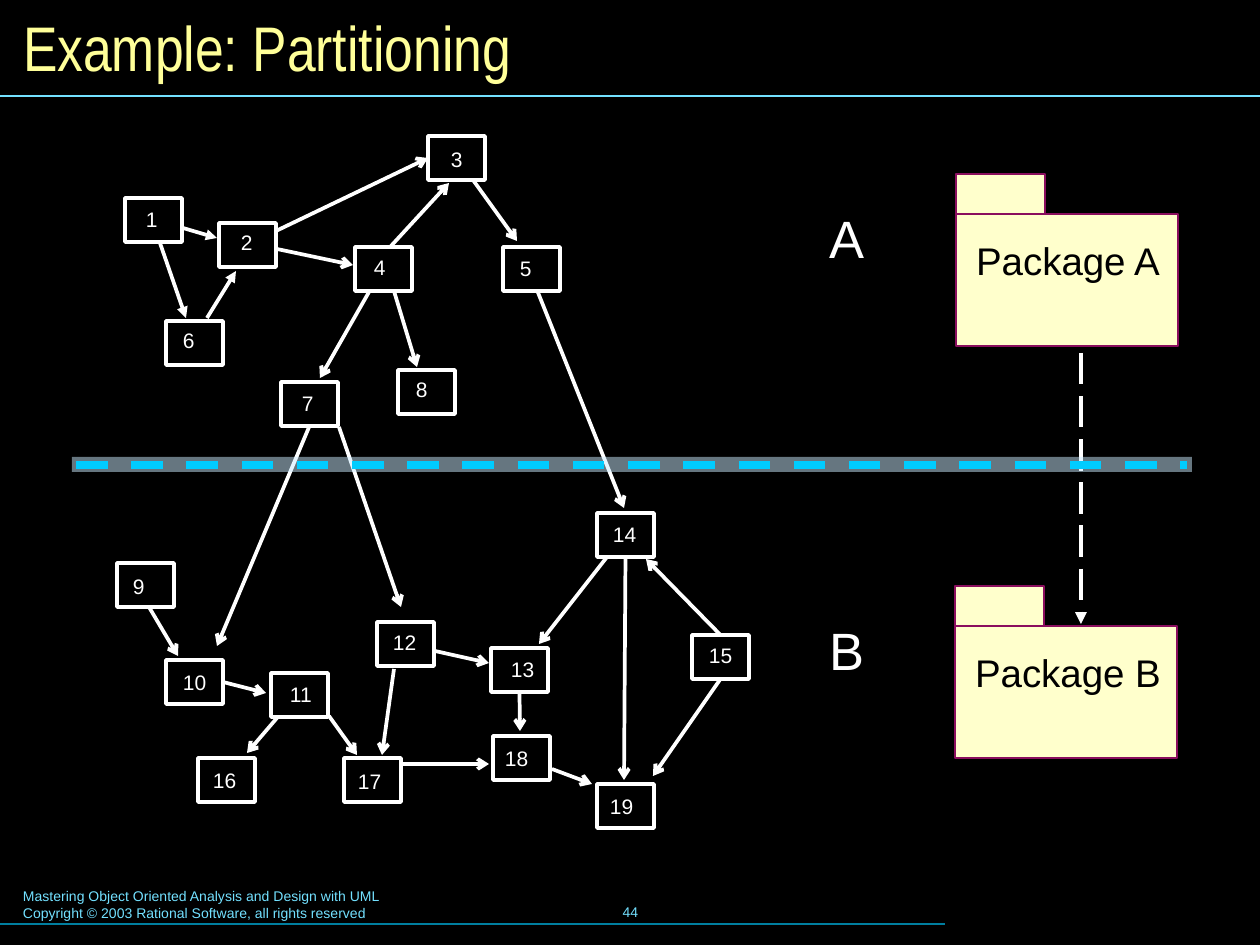
from lxml import etree
from pptx import Presentation
from pptx import util as u
from pptx.dml.color import RGBColor
from pptx.enum import dml, shapes, text
from pptx.oxml.ns import qn

SCALE = 914400 / 126
COLORS = {
    "background": "000000", "title": "FFFF99", "ink": "FFFFFF",
    "footer": "73E1FF", "footer_rule": "007E9F",
    "package": "FFFFCC", "package_edge": "8A0E5E", "package_text": "000000",
    "band": "CCECFF", "divider": "00CCFF",
}

TITLE = "Example: Partitioning"
FOOTER = ["Mastering Object Oriented Analysis and Design with UML",
          "Copyright © 2003 Rational Software, all rights reserved"]
PAGE = "44"

NODE_W, NODE_H = 57, 44
# number: left, top, label offset x, label offset y
NODES = {
    1: (125, 198, 6, 1), 2: (219, 223, 7, -1), 3: (428, 136, 8, 3),
    4: (355, 247, 4, 0), 5: (503, 247, 2, 1), 6: (166, 321, 2, -1),
    7: (281, 382, 6, 1), 8: (398, 370, 3, -1), 9: (117, 563, 1, 3),
    10: (166, 660, 2, 2), 11: (271, 673, 4, 1), 12: (377, 622, 1, 0),
    13: (491, 648, 5, 1), 14: (597, 513, 1, 1), 15: (692, 635, 2, 0),
    16: (198, 758, 0, 2), 17: (344, 758, -1, 3), 18: (493, 736, -3, 2),
    19: (597, 784, -2, 2),
}
SOLID_HEADS = {(1, 2), (1, 6), (6, 2)}
ARROWS = {
    (1, 6): (160, 243, 186, 318), (1, 2): (183, 228, 217, 238),
    (6, 2): (207, 318, 236, 271), (2, 3): (276, 231, 425, 161),
    (4, 3): (391, 246, 449, 183), (2, 4): (277, 249, 353, 265),
    (4, 8): (394, 291, 417, 367), (4, 7): (369, 292, 320, 378),
    (9, 10): (149, 607, 178, 656), (7, 10): (309, 427, 217, 646),
    (10, 11): (224, 684, 266, 693), (11, 16): (277, 718, 247, 753),
    (7, 12): (339, 427, 401, 607), (3, 5): (473, 180, 517, 241),
    (5, 14): (537, 290, 624, 508), (15, 14): (719, 635, 646, 559),
    (12, 13): (435, 651, 489, 663), (14, 13): (607, 557, 539, 644),
    (11, 17): (329, 716, 357, 755), (12, 17): (394, 669, 382, 755),
    (13, 18): (520, 693, 520, 731), (17, 18): (402, 764, 489, 764),
    (14, 19): (626, 558, 624, 780), (15, 19): (718, 679, 653, 776),
    (18, 19): (552, 769, 592, 784),
}
JOIN_GAP = 3
PARTITIONS = [("A", 956, 174), ("B", 955, 586)]


def px(*lengths):
    return [u.Emu(round(length * SCALE)) for length in lengths]


def color(name):
    return RGBColor.from_string(COLORS[name])


def write(frame, lines, size, ink, font="Arial", align=text.PP_ALIGN.LEFT,
          anchor=text.MSO_ANCHOR.TOP, inset=(0, 0), wrap=True):
    frame.text = "\n".join(lines)
    frame.word_wrap = wrap
    frame.vertical_anchor = anchor
    frame.margin_left = frame.margin_right = px(inset[0])[0]
    frame.margin_top = frame.margin_bottom = px(inset[1])[0]
    for paragraph in frame.paragraphs:
        paragraph.alignment = align
        for run in paragraph.runs:
            run.font.size = u.Pt(size)
            run.font.name = font
            run.font.color.rgb = color(ink)


def add_text(slide, box, lines, size, ink, **style):
    label = slide.shapes.add_textbox(*px(*box))
    write(label.text_frame, lines, size, ink, **style)


def add_box(parent, box, fill=None, edge=None, width=1):
    rect = parent.shapes.add_shape(shapes.MSO_SHAPE.RECTANGLE, *px(*box))
    rect.shadow.inherit = False
    if fill:
        rect.fill.solid()
        rect.fill.fore_color.rgb = color(fill)
    else:
        rect.fill.background()
    if edge:
        rect.line.color.rgb = color(edge)
        rect.line.width = u.Pt(width)
    else:
        rect.line.fill.background()
    return rect


def add_line(slide, ends, ink, width, head=None, dash=None):
    line = slide.shapes.add_connector(shapes.MSO_CONNECTOR.STRAIGHT, *px(*ends))
    line.line.color.rgb = color(ink)
    line.line.width = u.Pt(width)
    if dash:
        line.line.dash_style = dash
    if head:
        etree.SubElement(line.line._get_or_add_ln(), qn("a:tailEnd"), type=head)
    etree.SubElement(line._element.spPr, qn("a:effectLst"))
    return line


def side_at(number, x, y):
    left, top = NODES[number][:2]
    middles = [(left + NODE_W / 2, top), (left, top + NODE_H / 2),
               (left + NODE_W / 2, top + NODE_H), (left + NODE_W, top + NODE_H / 2)]
    for side, (mid_x, mid_y) in enumerate(middles):
        if max(abs(x - mid_x), abs(y - mid_y)) <= JOIN_GAP:
            return side
    return None


def add_graph(slide):
    boxes = {number: add_box(slide, (left, top, NODE_W, NODE_H), edge="ink", width=2.13)
             for number, (left, top, _, _) in NODES.items()}
    for (source, target), ends in ARROWS.items():
        head = "triangle" if (source, target) in SOLID_HEADS else "arrow"
        arrow = add_line(slide, ends, "ink", 2.13, head)
        begin, end = side_at(source, *ends[:2]), side_at(target, *ends[2:])
        if begin is not None:
            arrow.begin_connect(boxes[source], begin)
        if end is not None:
            arrow.end_connect(boxes[target], end)


def add_node_labels(slide):
    for number, (left, top, dx, dy) in NODES.items():
        width = 53 if number < 10 else 72
        add_text(slide, (left + dx, top + dy, width, 40), [str(number)], 12, "ink",
                 inset=(15, 8))


def add_partition(slide, letter, left, top):
    add_text(slide, (829, top + 32, 35, 63), [letter], 30, "ink", wrap=False)
    package = slide.shapes.add_group_shape()
    add_box(package, (left, top + 40, 222, 132), "package", "package_edge")
    add_box(package, (left, top, 89, 40), "package", "package_edge")
    add_text(slide, (975, top + 63, 186, 47), [f"Package {letter}"], 22, "package_text",
             align=text.PP_ALIGN.CENTER, wrap=False)


def add_divider(slide):
    band = add_box(slide, (72, 457, 1120, 15), "band")
    fill = band._element.spPr.find(qn("a:solidFill"))
    etree.SubElement(fill[0], qn("a:alpha"), val="50000")
    add_line(slide, (76, 465, 1187, 465), "divider", 4.5, dash=dml.MSO_LINE.DASH)


def add_frame(slide):
    slide.background.fill.solid()
    slide.background.fill.fore_color.rgb = color("background")
    title = slide.shapes.title
    title.left, title.top, title.width, title.height = px(10, 10, 1240, 73)
    write(title.text_frame, [TITLE], 36, "title", font="Arial Narrow",
          anchor=text.MSO_ANCHOR.MIDDLE, inset=(13, 6))
    add_text(slide, (10, 882, 643, 47), FOOTER, 8, "footer", inset=(13, 6))
    add_text(slide, (431, 880, 399, 63), [PAGE], 8, "footer", align=text.PP_ALIGN.CENTER,
             anchor=text.MSO_ANCHOR.MIDDLE, inset=(13, 6), wrap=False)
    add_line(slide, (0, 924, 945, 924), "footer_rule", 0.75)
    add_line(slide, (0, 96, 1260, 96), "footer", 0.75)


def main():
    deck = Presentation()
    deck.slide_width, deck.slide_height = px(1260, 945)
    slide = deck.slides.add_slide(deck.slide_layouts[5])
    add_frame(slide)
    add_graph(slide)
    for partition in PARTITIONS:
        add_partition(slide, *partition)
    add_line(slide, (1081, 353, 1081, 624), "ink", 2.25, "triangle", dml.MSO_LINE.LONG_DASH)
    add_divider(slide)
    add_node_labels(slide)
    deck.save("out.pptx")


if __name__ == "__main__":
    main()
